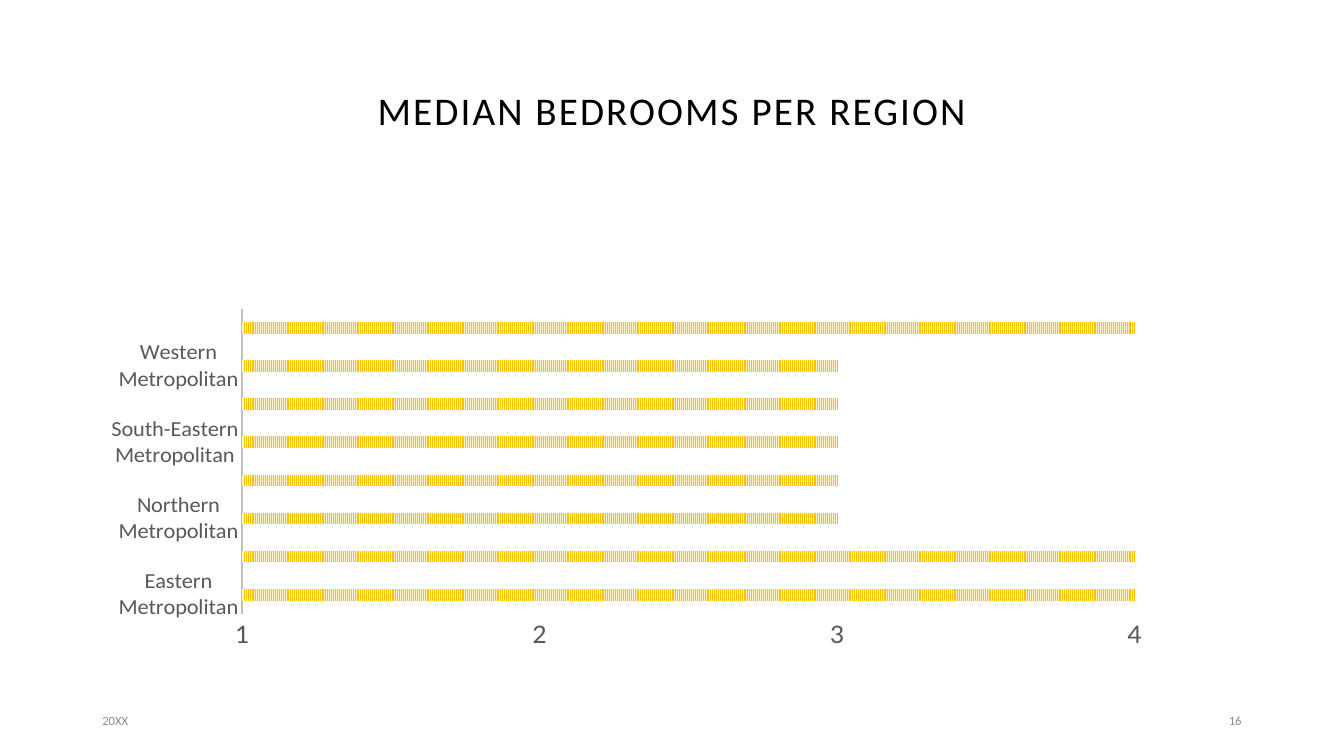
import lxml.etree
import pptx
import pptx.chart.data
import pptx.dml.color
import pptx.enum.chart
import pptx.enum.dml
import pptx.enum.text
import pptx.oxml.ns
import pptx.util

FONT = "Calibri"
GREY = "595959"
ALIGN = pptx.enum.text.PP_ALIGN
LABELLED_REGIONS = ["Eastern", "Northern", "South-Eastern", "Western"]
BEDROOMS = [4, 4, 3, 3, 3, 3, 3, 4]


def px(*lengths):
    """Turn pixel lengths, 96 to the inch, into EMU."""
    return [pptx.util.Emu(length * 9525) for length in lengths]


def colour(value):
    """Turn a hex string into a colour."""
    return pptx.dml.color.RGBColor.from_string(value)


def set_font(font, size, value):
    """Set the typeface, point size and colour of a font."""
    font.name = FONT
    font.size = pptx.util.Pt(size)
    font.color.rgb = colour(value)


def add_text(page, bounds, text, size, value, align):
    """Add a vertically centred line of text and return its paragraph."""
    box = page.shapes.add_textbox(*px(*bounds))
    frame = box.text_frame
    frame.word_wrap = True
    frame.vertical_anchor = pptx.enum.text.MSO_ANCHOR.MIDDLE
    para = frame.paragraphs[0]
    para.text = text
    para.alignment = align
    set_font(para.font, size, value)
    return para


def add_title(page, bounds, text):
    """Add the letter-spaced slide title."""
    para = add_text(page, bounds, text, 28, "000000", ALIGN.CENTER)
    para.line_spacing = 0.9
    para.runs[0].font._element.set("spc", "150")


def add_footer(page, left, text, align):
    """Add a small grey footer text."""
    para = add_text(page, (left, 667, 288, 38), text, 9, "8C8C8C", align)
    para.space_after = pptx.util.Pt(6)


def place_plot(chart, **fractions):
    """Fix the inner plot area as fractions of the chart."""
    tag = pptx.oxml.ns.qn
    plot_area = chart._chartSpace.chart.plotArea
    for layout in plot_area.findall(tag("c:layout")):
        plot_area.remove(layout)
    layout = lxml.etree.Element(tag("c:layout"))
    manual = lxml.etree.SubElement(layout, tag("c:manualLayout"))
    settings = {"layoutTarget": "inner", "xMode": "edge", "yMode": "edge", **fractions}
    for name, value in settings.items():
        lxml.etree.SubElement(manual, tag(f"c:{name}"), val=str(value))
    plot_area.insert(0, layout)


def style_axis(axis, size):
    """Set the labels of an axis and hide its marks and gridlines."""
    axis.has_major_gridlines = False
    axis.major_tick_mark = pptx.enum.chart.XL_TICK_MARK.NONE
    axis.minor_tick_mark = pptx.enum.chart.XL_TICK_MARK.NONE
    set_font(axis.tick_labels.font, size, GREY)


def add_bar_chart(page, bounds, regions, bedrooms):
    """Add the chart of striped bars, with a label on every second bar."""
    data = pptx.chart.data.CategoryChartData()
    for region in regions:
        data.add_category(f"{region} Metropolitan")
        data.add_category("")
    data.add_series("Series 1", bedrooms)
    kind = pptx.enum.chart.XL_CHART_TYPE.BAR_CLUSTERED
    chart = page.shapes.add_chart(kind, *px(*bounds), data).chart
    chart.has_legend = False
    chart.has_title = False
    set_font(chart.font, 10, "000000")
    place_plot(chart, x=0.14, y=0.18, w=0.77, h=0.77)

    style_axis(chart.category_axis, 16)
    line = chart.category_axis.format.line
    line.color.rgb = colour("BFBFBF")
    line.width = pptx.util.Pt(1.5)

    scale = chart.value_axis
    style_axis(scale, 20)
    scale.minimum_scale, scale.maximum_scale, scale.major_unit = 1, 4, 1
    scale.format.line.fill.background()

    plot = chart.plots[0]
    plot.vary_by_categories = False
    plot.gap_width, plot.overlap = 227, -48
    fill = plot.series[0].format.fill
    fill.patterned()
    fill.pattern = pptx.enum.dml.MSO_PATTERN.NARROW_VERTICAL
    fill.fore_color.rgb = colour("FFC000")
    fill.back_color.rgb = colour("FFF2CC")


def main():
    """Build and save the slide."""
    deck = pptx.Presentation()
    deck.slide_width, deck.slide_height = px(1280, 720)
    page = deck.slides.add_slide(deck.slide_layouts[6])
    add_title(page, (88, 38, 1104, 139), "MEDIAN BEDROOMS PER REGION")
    add_bar_chart(page, (76, 226, 1104, 394), LABELLED_REGIONS, BEDROOMS)
    add_footer(page, 88, "20XX", ALIGN.LEFT)
    add_footer(page, 904, "16", ALIGN.RIGHT)
    deck.save("out.pptx")


if __name__ == "__main__":
    main()
